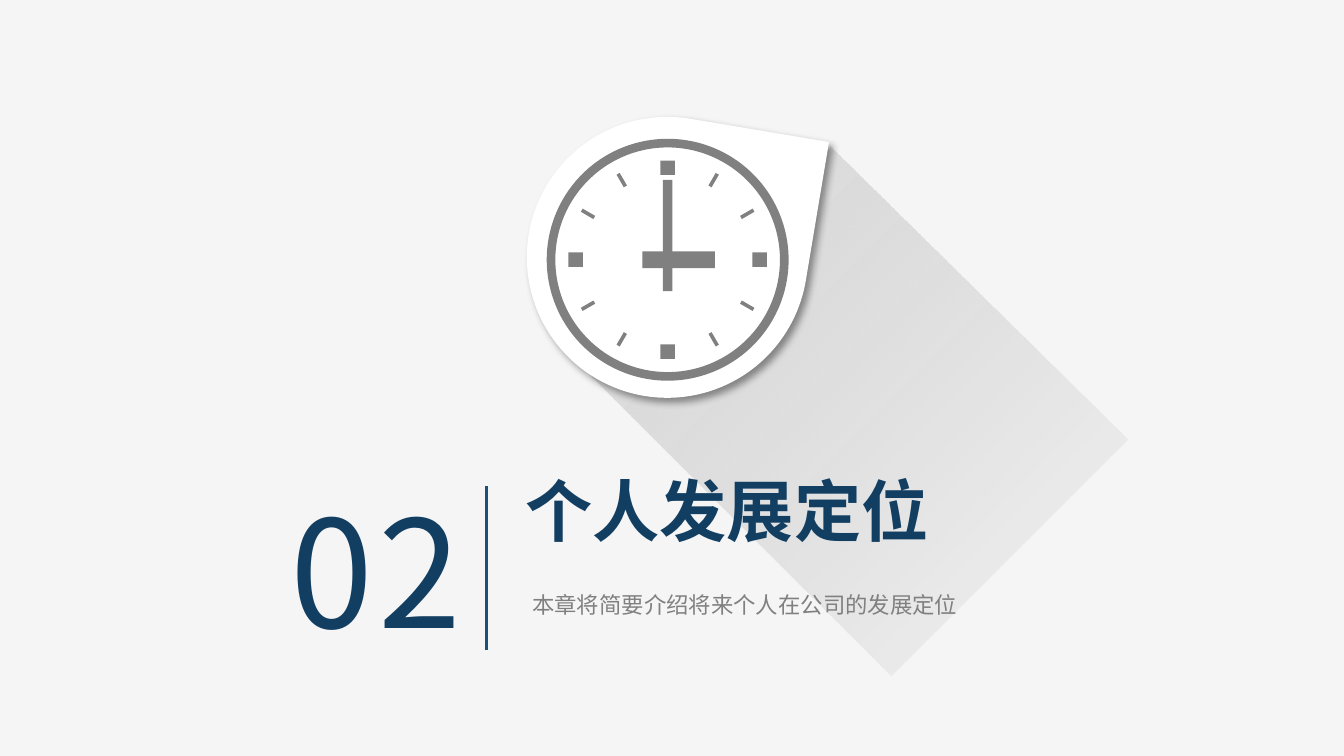
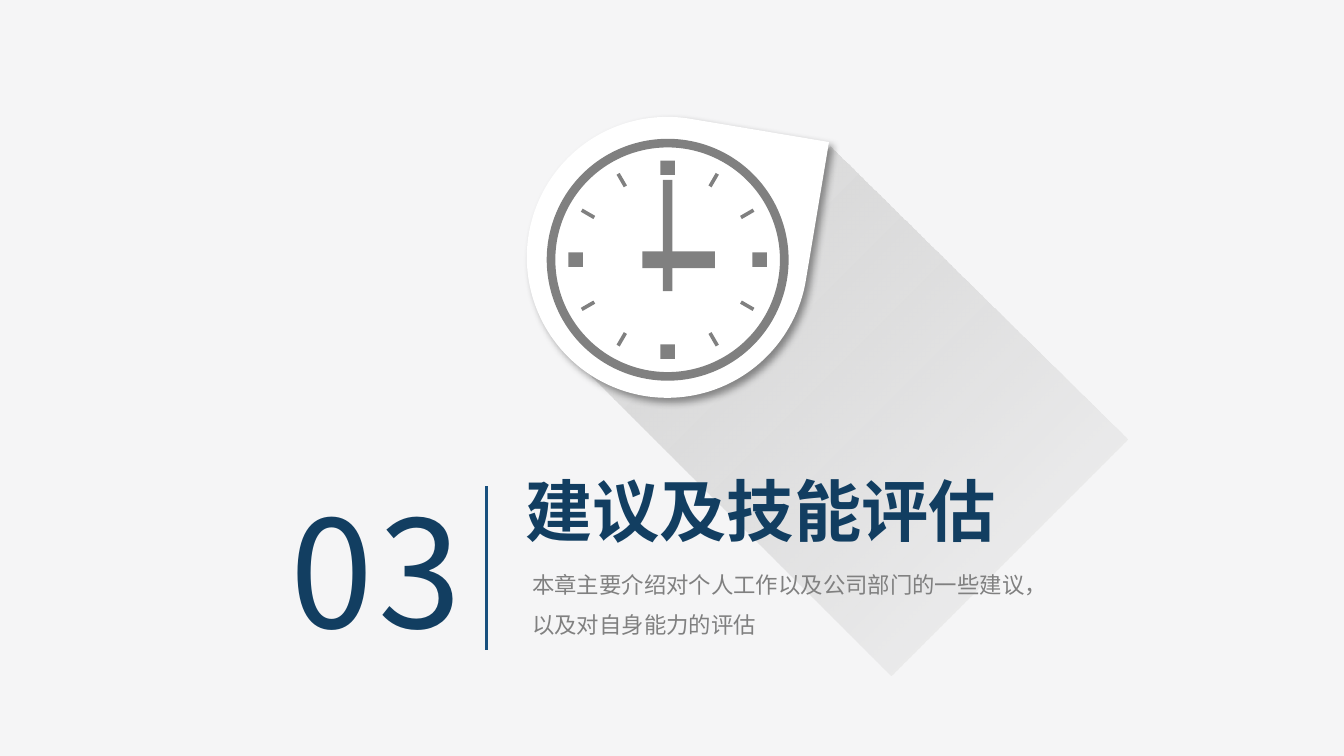
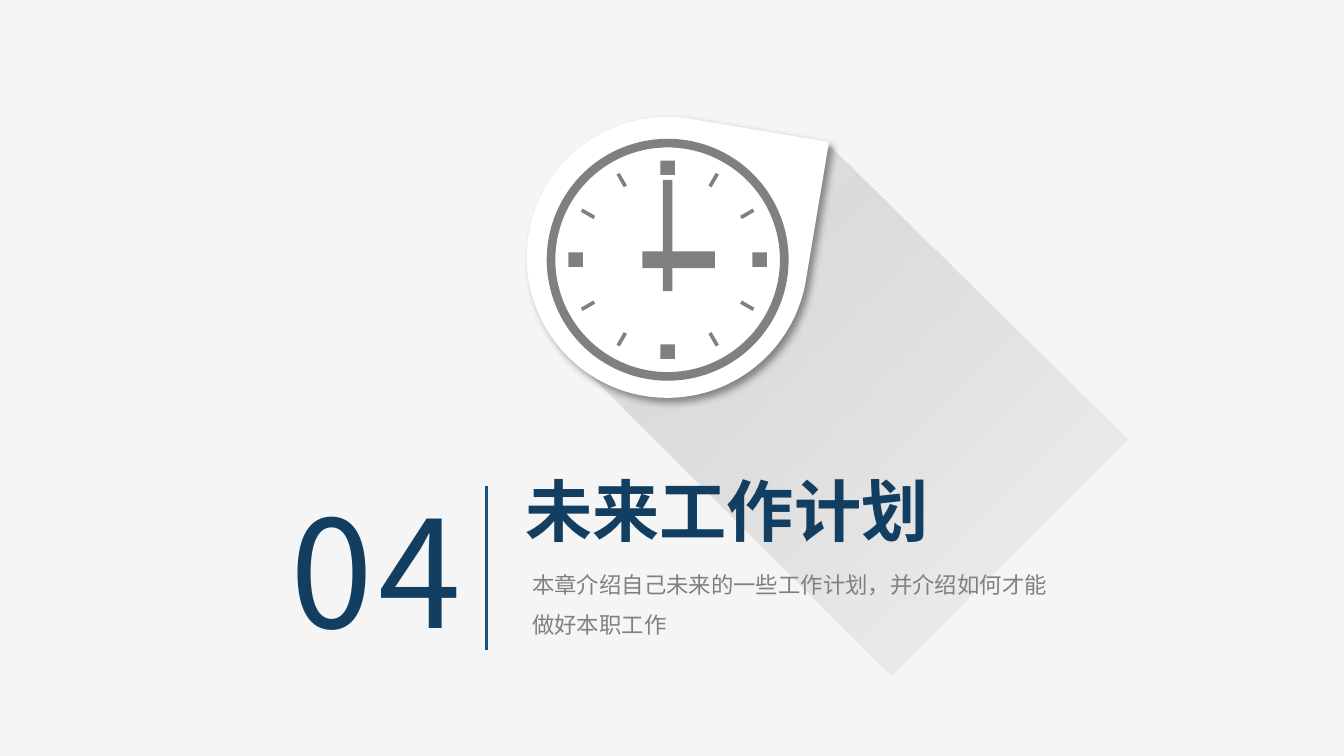
import math
from collections import namedtuple

import pptx
import pptx.dml.color
import pptx.enum.shapes
import pptx.enum.text
import pptx.oxml
import pptx.oxml.ns
import pptx.util
from lxml import etree

SHAPE = pptx.enum.shapes.MSO_SHAPE
ANCHOR = pptx.enum.text.MSO_ANCHOR
FONT = "Noto Sans CJK SC"
PAPER, WHITE, GREY = "F5F5F6", "FFFFFF", "808080"
NAVY, BLUE = "123E61", "18507E"
SHADE_FROM, SHADE_TO = "D9D9D9", "BFBFBF"

# Slide grid: 100 square columns across a 16:9 slide
WIDTH = pptx.util.Inches(10)
HEIGHT = WIDTH * 9 // 16
COL = WIDTH / 100

SECTIONS = [
    ("02", "个人发展定位", "本章将简要介绍将来个人在公司的发展定位"),
    ("03", "建议及技能评估", "本章主要介绍对个人工作以及公司部门的一些建议，以及对自身能力的评估"),
    ("04", "未来工作计划", "本章介绍自己未来的一些工作计划，并介绍如何才能做好本职工作"),
]

Box = namedtuple("Box", "x y w h")
SLIDE = Box(0, 0, WIDTH, HEIGHT)


def grid(box, x, y, w, h):
    """Part of a box, in grid columns and rows from its top left corner."""
    return Box(round(box.x + x * COL), round(box.y + y * COL),
               round(w * COL), round(h * COL))


def share(box, x, y, w, h):
    """Part of a box, in shares of its width and height."""
    return Box(round(box.x + x * box.w), round(box.y + y * box.h),
               round(w * box.w), round(h * box.h))


def rgb(value):
    return pptx.dml.color.RGBColor.from_string(value)


def tag(name):
    return pptx.oxml.ns.qn("a:" + name)


def paint(sp, color):
    sp.shadow.inherit = False
    sp.line.fill.background()
    sp.fill.solid()
    sp.fill.fore_color.rgb = rgb(color)
    return sp


def add_preset(shapes, kind, box, color, rotation=0):
    sp = paint(shapes.add_shape(kind, *box), color)
    sp.rotation = rotation
    return sp


def add_polygon(shapes, points, color):
    builder = shapes.build_freeform(*points[0])
    builder.add_line_segments(points[1:], close=True)
    return paint(builder.convert_to_shape(), color)


def add_text(slide, box, text, size, color, bold=False, spacing=None,
             line_spacing=None, fit=False):
    sp = slide.shapes.add_textbox(*box)
    tf = sp.text_frame
    tf.word_wrap = not fit
    if fit:
        tf.auto_size = pptx.enum.text.MSO_AUTO_SIZE.SHAPE_TO_FIT_TEXT
    else:
        tf.vertical_anchor = ANCHOR.MIDDLE
        tf.margin_left = tf.margin_right = pptx.util.Inches(0.07)
        tf.margin_top = tf.margin_bottom = pptx.util.Inches(0.04)
    p = tf.paragraphs[0]
    p.text = text
    if line_spacing:
        p.line_spacing = line_spacing
    p.font.name, p.font.size, p.font.bold = FONT, pptx.util.Pt(size), bold
    p.font.color.rgb = rgb(color)
    # East Asian face and letter spacing
    props = p._p.pPr.find(tag("defRPr"))
    etree.SubElement(props, tag("ea"), typeface=FONT)
    if spacing:
        props.set("spc", str(spacing * 100))


def add_long_shadow(slide, box):
    corners = [(0, 0), (0.99, 0.08), (1, 1), (0, 1)]
    points = [share(box, x, y, 0, 0)[:2] for x, y in corners]
    sp = add_polygon(slide.shapes, points, SHADE_FROM)
    sp.rotation = 315
    # Fades out downwards
    sp.fill.gradient()
    sp.fill.gradient_angle = 270
    for stop, color, place in zip(sp.fill.gradient_stops, (SHADE_FROM, SHADE_TO), (0, 1)):
        stop.color.rgb = rgb(color)
        stop.position = place
    last = list(sp._element.spPr.iter(tag("srgbClr")))[-1]
    etree.SubElement(last, tag("alpha"), val="0")


def add_badge(slide, box):
    sp = add_preset(slide.shapes, SHAPE.TEAR, box, WHITE, 9.5)
    effects = sp._element.spPr.find(tag("effectLst"))
    shadow = etree.SubElement(
        effects, tag("outerShdw"), blurRad=str(pptx.util.Pt(4)),
        dist=str(pptx.util.Pt(3)), dir=str(45 * 60000), algn="tl", rotWithShape="0")
    color = etree.SubElement(shadow, tag("srgbClr"), val="000000")
    etree.SubElement(color, tag("alpha"), val="40000")


def add_clock(slide, box):
    shapes = slide.shapes.add_group_shape().shapes
    ring = add_preset(shapes, SHAPE.DONUT, box, GREY)
    ring.adjustments[0] = 1 / 28

    # Hour marks: squares at the quarters, slim ticks between
    for hour in range(12):
        a = math.radians(hour * 30)
        out, side = (math.sin(a), -math.cos(a)), (math.cos(a), math.sin(a))
        quarter = hour % 3 == 0
        length = 0.06
        breadth = length if quarter else length / 4
        corners = [[0.5 + (0.38 + i * length / 2) * o + j * breadth / 2 * s
                    for o, s in zip(out, side)]
                   for i, j in ((-1, -1), (1, -1), (1, 1), (-1, 1))]
        if quarter:
            x, y = (min(axis) for axis in zip(*corners))
            add_preset(shapes, SHAPE.RECTANGLE, share(box, x, y, length, length), GREY)
        else:
            add_polygon(shapes, [share(box, x, y, 0, 0)[:2] for x, y in corners], GREY)

    # Minute hand, then hour hand lying on its side
    add_preset(shapes, SHAPE.RECTANGLE, share(box, 0.48, 0.17, 0.04, 0.46), GREY)
    add_preset(shapes, SHAPE.RECTANGLE, share(box, 0.51, 0.35, 0.07, 0.3), GREY, 90)


def add_heading(slide, box, number, title, summary):
    add_text(slide, grid(box, 0, 1.6, 15.6, 12.6), number, 80, NAVY, spacing=3)
    add_text(slide, grid(box, 18, 6, 40.7, 8.2), summary, 12, GREY, line_spacing=1.5)
    # One 36 pt character takes 5 columns; the rest is margin and slack
    add_text(slide, grid(box, 17.2, 0, 5.1 * len(title) + 1.7, 7.1), title, 36, NAVY,
             bold=True, fit=True)
    # Divider
    x, y, _, h = grid(box, 15.3, 1.8, 0, 12.2)
    line = slide.shapes.add_connector(
        pptx.enum.shapes.MSO_CONNECTOR.STRAIGHT, x, y, x, y + h)
    line.line.color.rgb = rgb(BLUE)
    line.line.width = pptx.util.Pt(1.5)
    etree.SubElement(line._element.spPr, tag("effectLst"))


def add_section_slide(prs, number, title, summary):
    slide = prs.slides.add_slide(prs.slide_layouts[6])
    slide.background.fill.solid()
    slide.background.fill.fore_color.rgb = rgb(PAPER)
    add_long_shadow(slide, grid(SLIDE, 50.7, 12.7, 24.9, 33.7))
    add_badge(slide, grid(SLIDE, 39.2, 8.7, 20.9, 20.9))
    add_clock(slide, grid(SLIDE, 40.68, 10.33, 18, 18))
    add_heading(slide, grid(SLIDE, 20.9, 34.4, 58.7, 14.2), number, title, summary)


prs = pptx.Presentation()
prs.slide_width, prs.slide_height = WIDTH, HEIGHT
for section in SECTIONS:
    add_section_slide(prs, *section)
prs.save("out.pptx")
